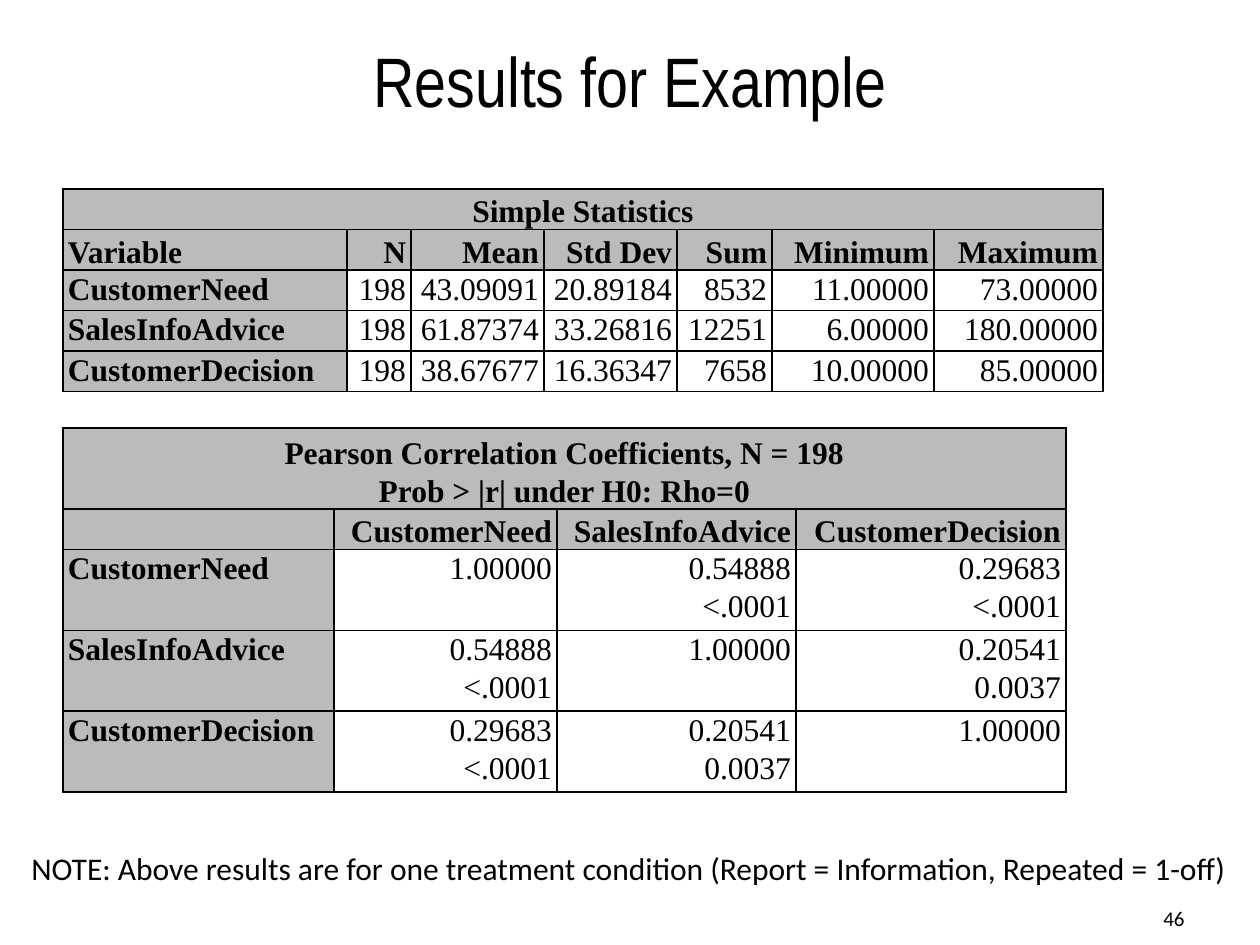
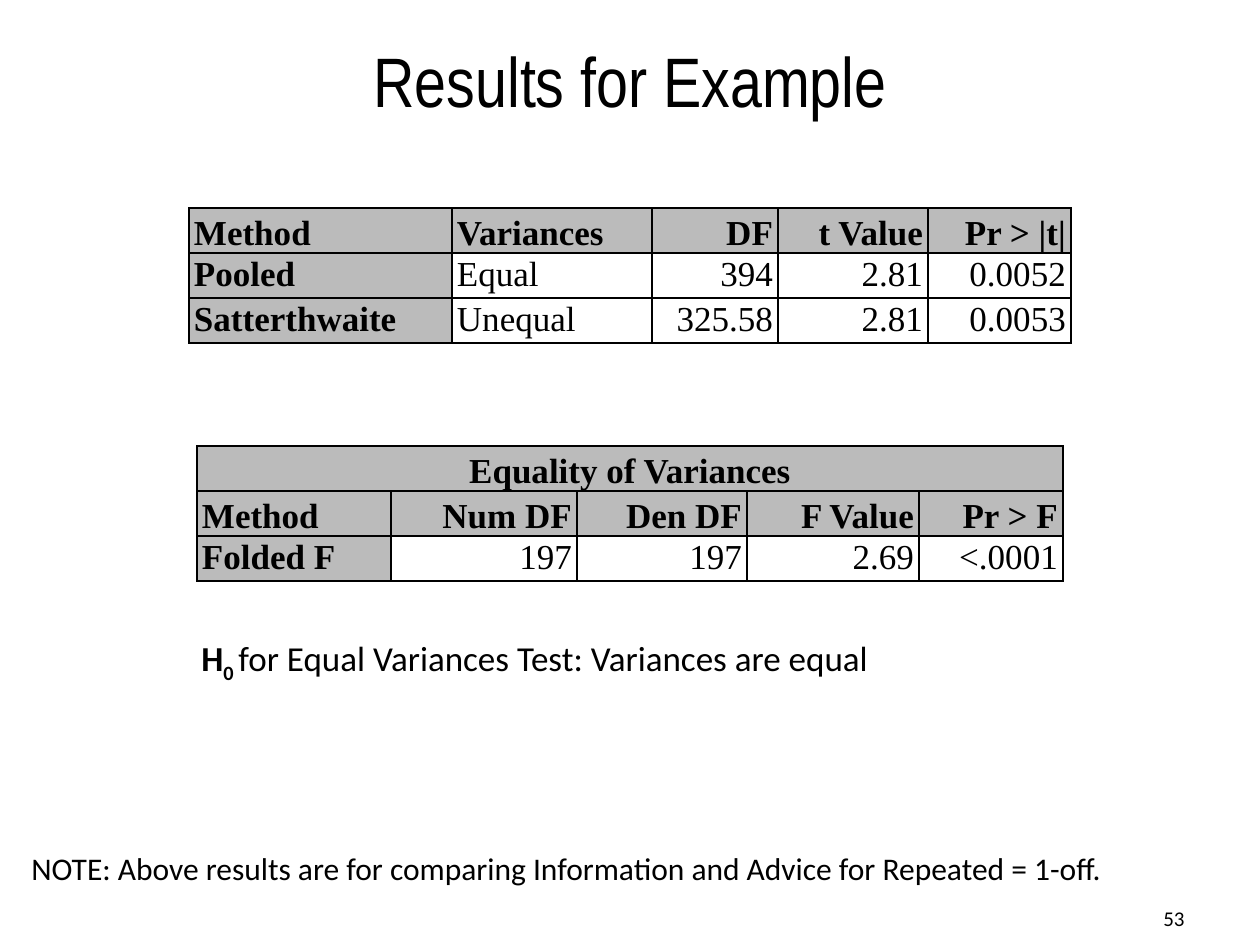
from lxml import etree
from pptx import Presentation
from pptx.dml.color import RGBColor
from pptx.enum.text import MSO_ANCHOR, PP_ALIGN
from pptx.oxml import parse_xml
from pptx.util import Inches, Pt

PX = Inches(1) // 126
BLACK, WHITE, GRAY = "000000", "FFFFFF", "BBBBBB"
TITLE_FONT, BODY_FONT, TABLE_FONT = "Arial Narrow", "Calibri", "Times New Roman"
LEFT, CENTER, RIGHT = PP_ALIGN.LEFT, PP_ALIGN.CENTER, PP_ALIGN.RIGHT
NAMESPACE = "http://schemas.openxmlformats.org/drawingml/2006/main"


def format_paragraph(paragraph, font_name, size, alignment=LEFT, bold=False):
    paragraph.alignment = alignment
    font = paragraph.font
    font.name, font.size, font.bold = font_name, Pt(size), bold
    font.color.rgb = RGBColor.from_string(BLACK)


def add_statistics_table(slide, left, top, widths, heights, rows, size, header_rows, left_columns=1):
    """Gray header rows and first column; a row with a single text spans the table."""
    shape = slide.shapes.add_table(len(rows), len(widths), left * PX, top * PX,
                                   sum(widths) * PX, sum(heights) * PX)
    table = shape.table
    for column, width in zip(table.columns, widths):
        column.width = width * PX
    for row, height in zip(table.rows, heights):
        row.height = height * PX
    for r, texts in enumerate(rows):
        spanning = len(texts) == 1
        for c in range(len(widths)):
            cell = table.cell(r, c)
            is_header = r < header_rows
            is_label = is_header or c == 0
            cell.margin_left = cell.margin_right = 5 * PX
            cell.margin_top = cell.margin_bottom = 0
            cell.vertical_anchor = MSO_ANCHOR.BOTTOM if is_header else MSO_ANCHOR.TOP
            # Thin black border on each side
            for side in ("lnL", "lnR", "lnT", "lnB"):
                cell._tc.get_or_add_tcPr().append(parse_xml(
                    f'<a:{side} xmlns:a="{NAMESPACE}" w="{Pt(1)}"><a:solidFill>'
                    f'<a:srgbClr val="{BLACK}"/></a:solidFill></a:{side}>'))
            cell.fill.solid()
            cell.fill.fore_color.rgb = RGBColor.from_string(GRAY if is_label else WHITE)
            paragraph = cell.text_frame.paragraphs[0]
            if c < len(texts):
                paragraph.text = texts[c]
            alignment = CENTER if spanning else LEFT if c < left_columns else RIGHT
            format_paragraph(paragraph, TABLE_FONT, size, alignment, is_label)
            paragraph.line_spacing = 1.07
        if spanning:
            table.cell(r, 0).merge(table.cell(r, len(widths) - 1))


presentation = Presentation()
presentation.slide_width, presentation.slide_height = Inches(10), Inches(7.5)

# Title, page number and note shared by both slides
pages = [
    ("46", "NOTE: Above results are for one treatment condition (Report = Information, Repeated = 1-off)"),
    ("53", "NOTE: Above results are for comparing Information and Advice for Repeated = 1-off."),
]
for number, note in pages:
    slide = presentation.slides.add_slide(presentation.slide_layouts[5])
    title = slide.shapes.title
    title.left, title.top, title.width, title.height = 63 * PX, 0, 1134 * PX, 158 * PX
    title.text_frame.vertical_anchor = MSO_ANCHOR.MIDDLE
    title.text_frame.text = "Results for Example"
    format_paragraph(title.text_frame.paragraphs[0], TITLE_FONT, 40, CENTER)

    for text, left, top, width, size, alignment, anchor in [
        (number, 903, 893, 294, 12, RIGHT, MSO_ANCHOR.MIDDLE),
        (note, 19, 843, 1236, 18, LEFT, MSO_ANCHOR.TOP),
    ]:
        box = slide.shapes.add_textbox(left * PX, top * PX, width * PX, 50 * PX)
        box.text_frame.word_wrap = True
        box.text_frame.vertical_anchor = anchor
        box.text_frame.text = text
        format_paragraph(box.text_frame.paragraphs[0], BODY_FONT, size, alignment)

correlation_slide, test_slide = presentation.slides

# Correlation results
variables = ["CustomerNeed", "SalesInfoAdvice", "CustomerDecision"]
add_statistics_table(
    correlation_slide, 63, 189, [284, 64, 133, 133, 95, 162, 169], [37] * 5,
    [
        ["Simple Statistics"],
        ["Variable", "N", "Mean", "Std Dev", "Sum", "Minimum", "Maximum"],
        [variables[0], "198", "43.09091", "20.89184", "8532", "11.00000", "73.00000"],
        [variables[1], "198", "61.87374", "33.26816", "12251", "6.00000", "180.00000"],
        [variables[2], "198", "38.67677", "16.36347", "7658", "10.00000", "85.00000"],
    ], size=18, header_rows=2)
add_statistics_table(
    correlation_slide, 63, 428, [271, 223, 239, 270], [74, 37, 74, 74, 74],
    [
        ["Pearson Correlation Coefficients, N = 198\nProb > |r| under H0: Rho=0"],
        ["", *variables],
        [variables[0], "1.00000", "0.54888\n<.0001", "0.29683\n<.0001"],
        [variables[1], "0.54888\n<.0001", "1.00000", "0.20541\n0.0037"],
        [variables[2], "0.29683\n<.0001", "0.20541\n0.0037", "1.00000"],
    ], size=18, header_rows=2)

# t test and equality of variances
add_statistics_table(
    test_slide, 189, 208, [263, 200, 126, 150, 143], [41] * 3,
    [
        ["Method", "Variances", "DF", "t Value", "Pr > |t|"],
        ["Pooled", "Equal", "394", "2.81", "0.0052"],
        ["Satterthwaite", "Unequal", "325.58", "2.81", "0.0053"],
    ], size=20, header_rows=1, left_columns=2)
add_statistics_table(
    test_slide, 197, 446, [194, 186, 170, 172, 144], [45] * 3,
    [
        ["Equality of Variances"],
        ["Method", "Num DF", "Den DF", "F Value", "Pr > F"],
        ["Folded F", "197", "197", "2.69", "<.0001"],
    ], size=20, header_rows=2)

# Null hypothesis with a subscript
hypothesis = test_slide.shapes.add_textbox(189 * PX, 630 * PX, 921 * PX, 55 * PX)
hypothesis.text_frame.word_wrap = True
paragraph = hypothesis.text_frame.paragraphs[0]
format_paragraph(paragraph, BODY_FONT, 20)
for text, bold, baseline in [
    ("H", True, 0),
    ("0 ", True, -25000),
    ("for Equal Variances Test: Variances are equal", False, 0),
]:
    run = paragraph.add_run()
    run.text = text
    run.font.bold = bold
    if baseline:
        run._r.get_or_add_rPr().set("baseline", str(baseline))

presentation.save("out.pptx")
